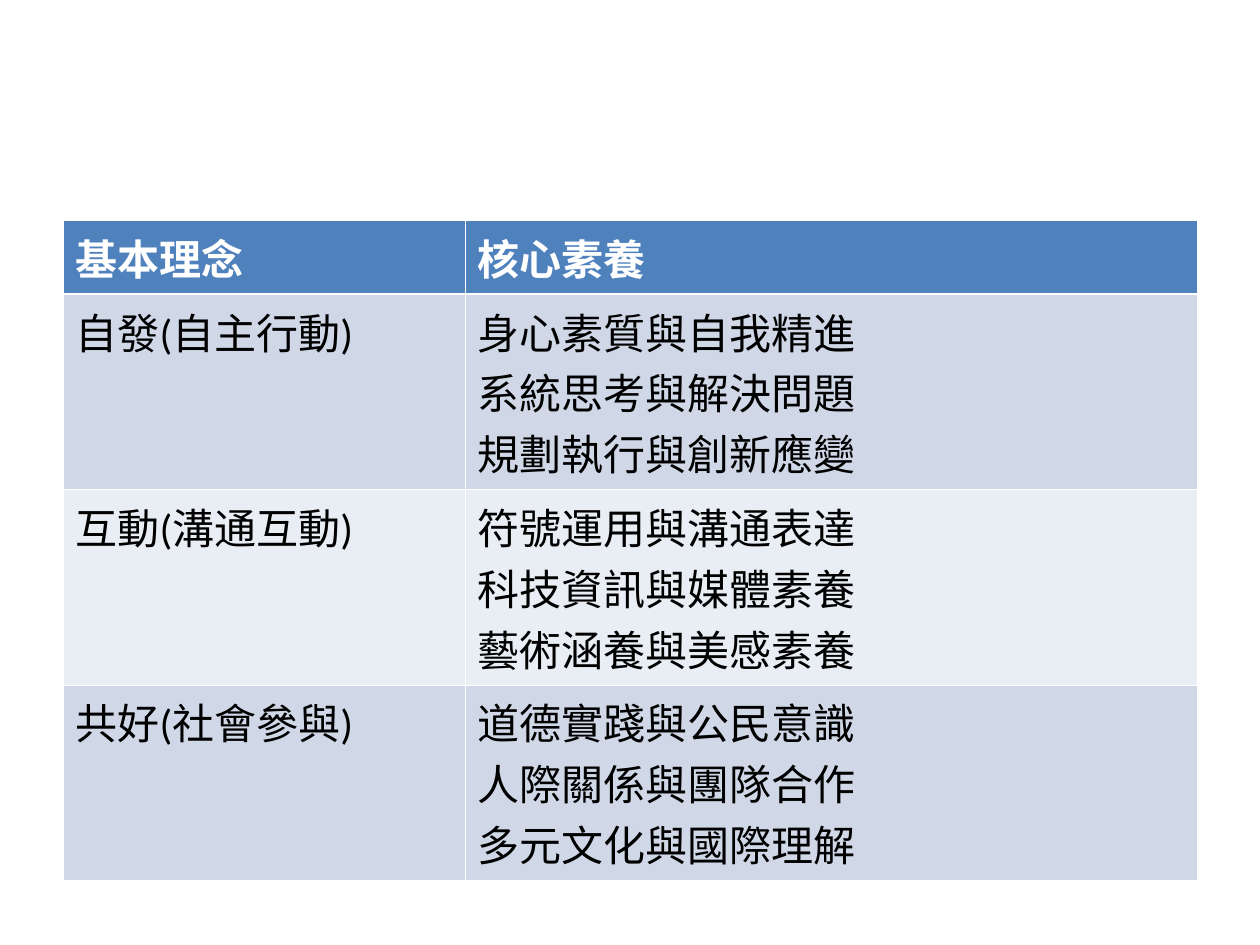
from lxml import etree
from pptx import Presentation
from pptx import util as u
from pptx.dml.color import RGBColor
from pptx.oxml.ns import qn

HEADINGS = ("基本理念", "核心素養")
COMPETENCIES = (
    ("自發(自主行動)", "身心素質與自我精進\n系統思考與解決問題\n規劃執行與創新應變"),
    ("互動(溝通互動)", "符號運用與溝通表達\n科技資訊與媒體素養\n藝術涵養與美感素養"),
    ("共好(社會參與)", "道德實踐與公民意識\n人際關係與團隊合作\n多元文化與國際理解"),
)
HEADER_FILL = "4F81BD"
BAND_FILLS = ("E9EDF4", "D0D8E8")


def color(value):
    return RGBColor.from_string(value)


def set_borders(cell, widths):
    properties = cell._tc.get_or_add_tcPr()
    for index, (side, width) in enumerate(zip("LRTB", widths)):
        line = etree.Element(qn(f"a:ln{side}"), w=str(u.Pt(width)))
        fill = etree.SubElement(line, qn("a:solidFill"))
        etree.SubElement(fill, qn("a:srgbClr"), val="FFFFFF")
        properties.insert(index, line)


def fill_cell(cell, words, row):
    header = row == 0
    cell.text_frame.text = words
    for para in cell.text_frame.paragraphs:
        for span in para.runs:
            span.font.name = "Calibri"
            span.font.size = u.Pt(24)
            span.font.bold = header
            span.font.color.rgb = color("FFFFFF" if header else "000000")
    cell.fill.solid()
    cell.fill.fore_color.rgb = color(HEADER_FILL if header else BAND_FILLS[row % 2])
    top = 1.47 if row == 1 else 0.45
    bottom = 1.47 if header else 0.45
    set_borders(cell, (0.45, 0.45, top, bottom))


def add_competency_table(page, left, top, width, height):
    rows = (HEADINGS, *COMPETENCIES)
    table = page.shapes.add_table(len(rows), len(HEADINGS), left, top, width, height).table
    first_width = u.Inches(3.19)
    table.columns[0].width = first_width
    table.columns[1].width = width - first_width
    header_height = u.Inches(0.5)
    for row, entries in enumerate(rows):
        body_height = (height - header_height) // len(COMPETENCIES)
        table.rows[row].height = body_height if row else header_height
        for column, words in enumerate(entries):
            fill_cell(table.cell(row, column), words, row)


def main():
    deck = Presentation()
    deck.slide_width = u.Inches(10)
    deck.slide_height = u.Inches(7.5)
    page = deck.slides.add_slide(deck.slide_layouts[6])
    add_competency_table(page, u.Inches(0.5), u.Inches(1.75), u.Inches(9), u.Inches(4.4))
    deck.save("out.pptx")


if __name__ == "__main__":
    main()
